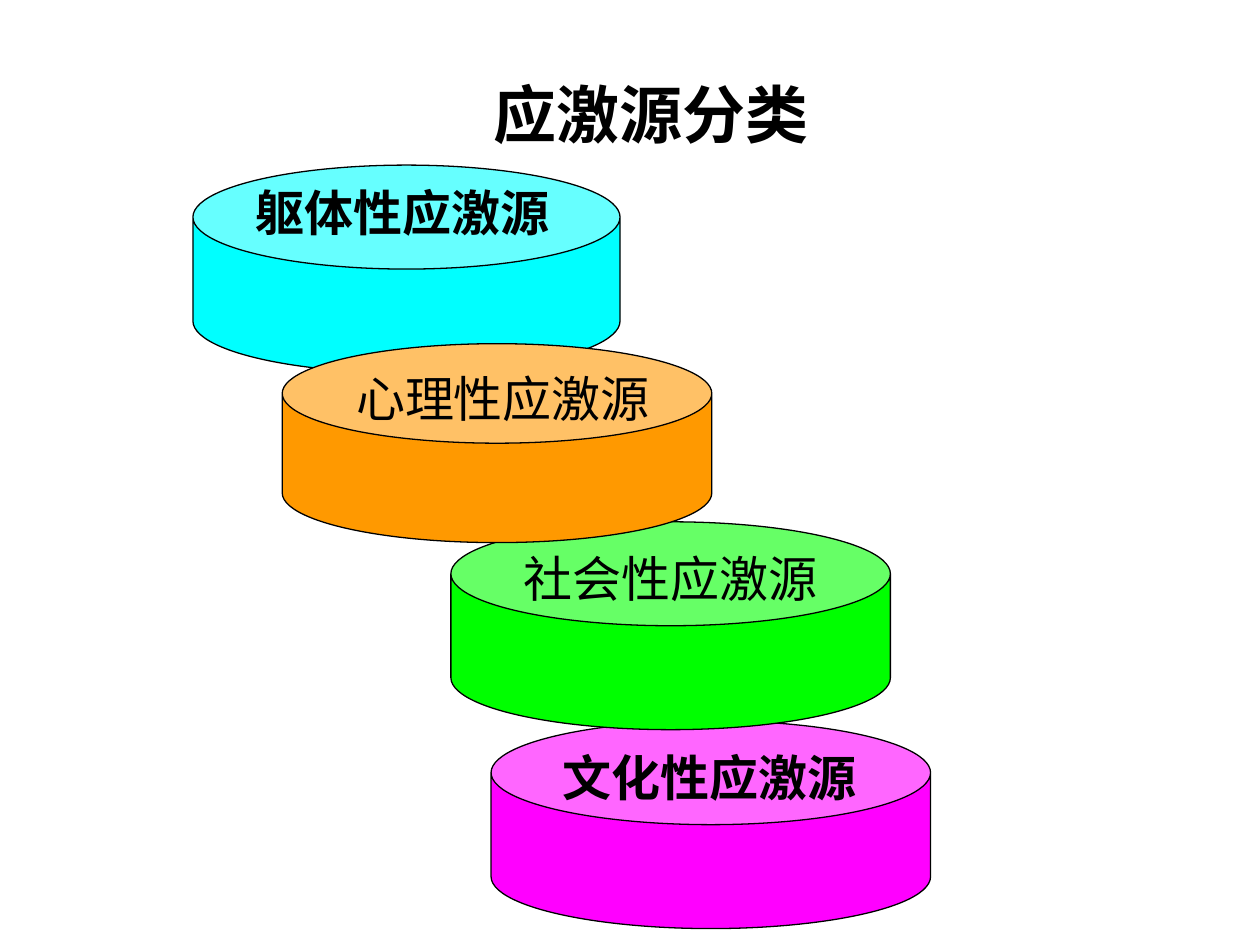
from dataclasses import dataclass

from lxml.etree import SubElement
from pptx import Presentation
from pptx.dml.color import RGBColor
from pptx.enum.shapes import MSO_SHAPE
from pptx.enum.text import MSO_ANCHOR, MSO_AUTO_SIZE, PP_ALIGN
from pptx.oxml.ns import qn
from pptx.util import Cm, Pt


@dataclass(frozen=True)
class Theme:
    font: str = "Noto Sans CJK JP"
    ink: RGBColor = RGBColor(0, 0, 0)
    magenta: RGBColor = RGBColor(255, 0, 255)
    green: RGBColor = RGBColor(0, 255, 0)
    cyan: RGBColor = RGBColor(0, 255, 255)
    orange: RGBColor = RGBColor(255, 153, 0)
    title_size: Pt = Pt(36)
    label_size: Pt = Pt(28)
    outline: Pt = Pt(0.75)


@dataclass(frozen=True)
class Box:
    left: float
    top: float
    width: float
    height: float

    def lengths(self):
        return Cm(self.left), Cm(self.top), Cm(self.width), Cm(self.height)


THEME = Theme()
TITLE_BOX = Box(7.29, 0.86, 11.68, 2.24)
LABEL_HEIGHT = 2.64

STRESSORS = [
    ("文化性应激源", Box(9.9, 14.53, 8.86, 4.19), (1.2, 0.41), THEME.magenta, True),
    ("社会性应激源", Box(9.09, 10.52, 8.86, 4.19), (1.22, 0.41), THEME.green, False),
    ("躯体性应激源", Box(3.89, 3.33, 8.61, 4.19), (1.02, 0.23), THEME.cyan, True),
    ("心理性应激源", Box(5.69, 6.93, 8.66, 4.01), (1.24, 0.38), THEME.orange, False),
]


def write_text(text_frame, text, size, bold, alignment):
    text_frame.text = text
    text_frame.word_wrap = True
    text_frame.auto_size = MSO_AUTO_SIZE.NONE
    paragraph = text_frame.paragraphs[0]
    paragraph.alignment = alignment
    for run in paragraph.runs:
        font = run.font
        font.size = size
        font.bold = bold
        font.color.rgb = THEME.ink
        font.name = THEME.font
        east_asian = SubElement(font._element, qn("a:ea"))
        east_asian.set("typeface", THEME.font)


def add_title(slide, box, text):
    title = slide.shapes.title
    title.left, title.top, title.width, title.height = box.lengths()
    text_frame = title.text_frame
    write_text(text_frame, text, THEME.title_size, True, PP_ALIGN.CENTER)
    text_frame.vertical_anchor = MSO_ANCHOR.BOTTOM
    text_frame.margin_bottom = Cm(0.05)


def add_stressor(slide, box, text, label_offset, color, bold):
    group = slide.shapes.add_group_shape()
    cylinder = group.shapes.add_shape(MSO_SHAPE.CAN, *box.lengths())
    cylinder.adjustments[0] = 0.5
    cylinder.shadow.inherit = False
    cylinder.fill.solid()
    cylinder.fill.fore_color.rgb = color
    cylinder.line.color.rgb = THEME.ink
    cylinder.line.width = THEME.outline

    offset_left, offset_top = label_offset
    label_box = Box(
        box.left + offset_left,
        box.top + offset_top,
        box.width - 2 * offset_left + 0.3,
        LABEL_HEIGHT,
    )
    label = group.shapes.add_textbox(*label_box.lengths())
    write_text(label.text_frame, text, THEME.label_size, bold, PP_ALIGN.LEFT)


def main():
    presentation = Presentation()
    presentation.slide_width = Cm(25.4)
    presentation.slide_height = Cm(19.05)
    slide = presentation.slides.add_slide(presentation.slide_layouts[5])
    add_title(slide, TITLE_BOX, "应激源分类")
    for text, box, label_offset, color, bold in STRESSORS:
        add_stressor(slide, box, text, label_offset, color, bold)
    presentation.save("out.pptx")


if __name__ == "__main__":
    main()
